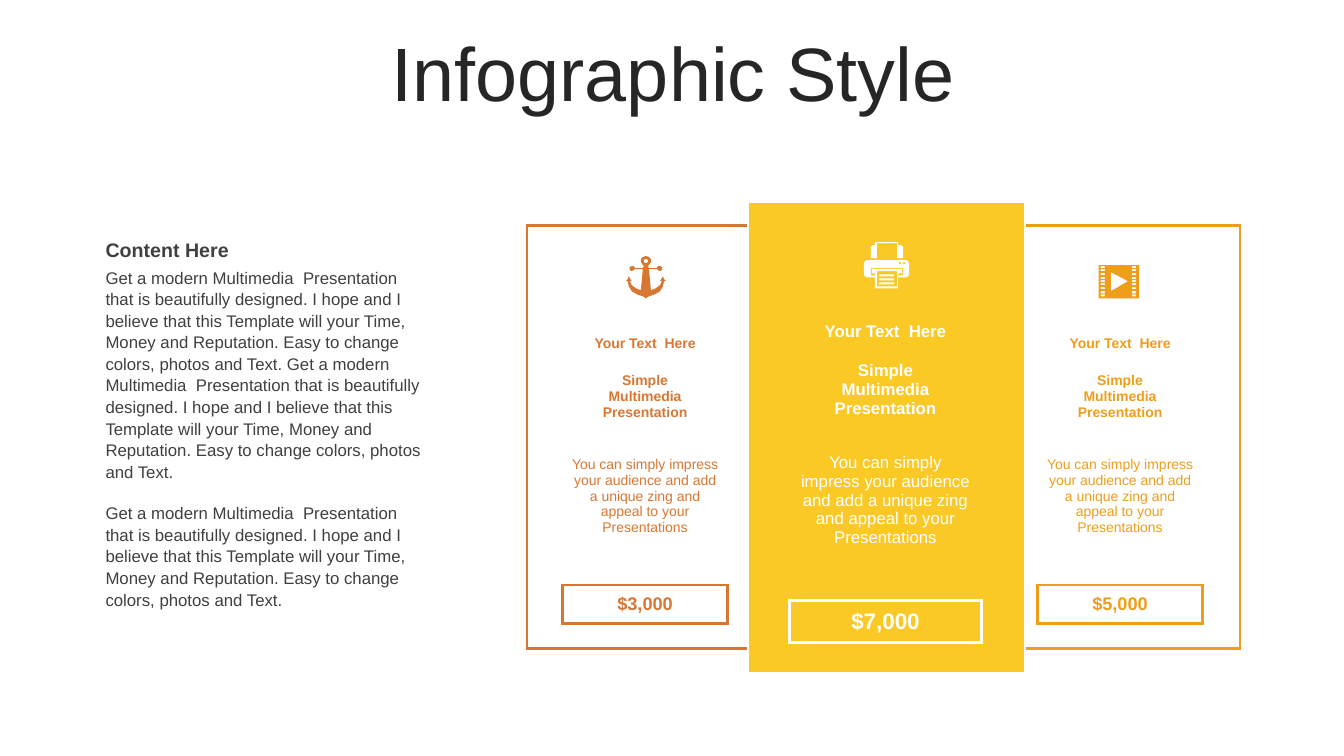
from itertools import accumulate, product
from math import cos, pi, sin
from lxml.etree import SubElement
from pptx import Presentation
from pptx.dml.color import RGBColor
from pptx.enum.text import MSO_ANCHOR, PP_ALIGN
from pptx.oxml.ns import qn
from pptx.util import Cm, Pt

# Content
TITLE = "Infographic Style"
HEADING = "Content Here"
PITCH = ("Get a modern Multimedia  Presentation that is beautifully designed. "
         "I hope and I believe that this Template will your Time, Money and Reputation. "
         "Easy to change colors, photos and Text.")
INTRO = [PITCH + " " + PITCH, PITCH]
CARD_NAME = "Your Text  Here"
CARD_OFFER = ["Simple", "Multimedia Presentation"]
CARD_DETAIL = ("You can simply impress your audience and add a unique zing "
               "and appeal to your Presentations")

THEME = {
    "font": "Arial", "title": "262626", "text": "404040", "white": "FFFFFF",
    "rust": "D87732", "amber": "EF9E1B", "yellow": "FAC926",
    "title_size": 54, "heading_size": 14, "intro_size": 12, "blank_size": 8,
}

# Card layouts in cm, type sizes and line widths in points
SIDE = {"cols": [0.89, 4.17, 0.94], "rows": [2.54, 0.84, 1.85, 3.18, 0.64, 0.97, 0.64],
        "top": 5.69, "size": 10, "price_size": 13, "frame": 2.25, "inset": (0.2, 0.1)}
CENTRE = {"cols": [1.04, 4.85, 1.09], "rows": [2.82, 0.91, 2.03, 3.53, 0.76, 1.07, 0.76],
          "top": 5.08, "size": 12, "price_size": 16, "frame": 1.5, "inset": (0.25, 0.13)}
PRICE_LINE = 2.25
PRICE_ROW, TEXT_COL = 5, 1


# Icon outlines on a grid of hundredths of an inch
def box(left, top, right, bottom):
    return [(left, top), (right, top), (right, bottom), (left, bottom)]


def film_icon():
    holes = [box(x, 1 + 3.5 * i, x + 4, 3 + 3.5 * i) for x in (2, 33) for i in range(9)]
    return [box(0, 0, 40, 33), [(12, 7), (12, 26), (29, 16)], *holes]


def anchor_icon():
    half = [(20, 0), (23, 1), (25, 3), (25, 6), (23, 9), (22, 10), (23, 12), (31, 12),
            (32, 10.5), (34, 10), (36, 11), (36.5, 12.5), (36, 14), (34, 15), (32, 14.5),
            (31, 13), (23, 13), (25, 34), (30, 32), (34, 29), (36, 25), (34, 25),
            (36, 22.5), (37, 20), (38, 23), (40, 25), (38, 25), (37, 30), (34, 35),
            (29, 38.5), (23, 40), (20, 42)]
    mirrored = [(40 - x, y) for x, y in reversed(half[1:-1])]
    ring = [(20 + 2 * cos(i * pi / 6), 5 + 2 * sin(i * pi / 6)) for i in range(12)]
    return [half + mirrored, ring]


def printer_icon():
    body = [(3, 18), (42, 18), (44, 19), (45, 21), (45, 32), (44, 34), (42, 35), (34, 35),
            (34, 46), (11, 46), (11, 35), (3, 35), (1, 34), (0, 32), (0, 21), (1, 19)]
    tray = [(7, 26), (7, 33), (11, 33), (11, 31), (8, 31), (8, 27),
            (38, 27), (38, 31), (34, 31), (34, 33), (39, 33), (39, 26)]
    feeder = [(11, 0), (34, 0), (34, 3), (37, 3), (39, 5), (39, 16), (33, 16), (33, 1),
              (13, 1), (13, 16), (7, 16), (7, 5), (9, 3), (11, 3)]
    print_lines = [box(15, y, 30, y + 1.5) for y in (32, 36, 40)]
    buttons = [box(x, 20.5, x + 2, 22.5) for x in (35, 39)]
    return [body, tray, feeder, box(13, 29, 33, 44), *print_lines, *buttons]


# Cards from back to front: layout, left, price, ink, fill, icon, icon position
CARDS = [
    (SIDE, 25.25, "$5,000", "amber", "white", film_icon(), (27.69, 6.68)),
    (SIDE, 13.28, "$3,000", "rust", "white", anchor_icon(), (15.77, 6.45)),
    (CENTRE, 18.85, "$7,000", "white", "yellow", printer_icon(), (21.77, 6.1)),
]


def color(name):
    return RGBColor.from_string(THEME[name])


def write(frame, lines, *, size, ink, bold=False, align=PP_ALIGN.LEFT, spacing=None, gap=0):
    frame.word_wrap = True
    for i, line in enumerate(lines):
        paragraph = frame.paragraphs[0] if i == 0 else frame.add_paragraph()
        paragraph.alignment = align
        paragraph.line_spacing = spacing
        if i and gap:
            paragraph.space_before = Pt(gap)
        run = paragraph.add_run()
        run.text = line
        run.font.name, run.font.size, run.font.bold = THEME["font"], Pt(size), bold
        run.font.color.rgb = color(ink)


def add_text(slide, place, lines, anchor=MSO_ANCHOR.TOP, **style):
    frame = slide.shapes.add_textbox(*map(Cm, place)).text_frame
    frame.vertical_anchor = anchor
    write(frame, lines, **style)


def edge_widths(row, col, layout):
    """Line widths of the left, right, top and bottom edges; 0 means none."""
    last_row, last_col = len(layout["rows"]) - 1, len(layout["cols"]) - 1
    outer = (col == 0, col == last_col, row == 0, row == last_row)
    in_row, in_col = row == PRICE_ROW, col == TEXT_COL
    price = (in_row and col in (TEXT_COL, TEXT_COL + 1),
             in_row and col in (TEXT_COL - 1, TEXT_COL),
             in_col and row in (PRICE_ROW, PRICE_ROW + 1),
             in_col and row in (PRICE_ROW - 1, PRICE_ROW))
    return [PRICE_LINE if p else layout["frame"] if o else 0 for o, p in zip(outer, price)]


def set_borders(cell, widths, ink):
    properties = cell._tc.get_or_add_tcPr()
    for i, (side, width) in enumerate(zip("LRTB", widths)):
        line = SubElement(properties, qn(f"a:ln{side}"), w=str(Pt(width)))
        properties.insert(i, line)
        if width:
            fill = SubElement(line, qn("a:solidFill"))
            SubElement(fill, qn("a:srgbClr"), val=THEME[ink])
        else:
            SubElement(line, qn("a:noFill"))


def add_card(slide, layout, left, price, ink, fill):
    cols, rows = layout["cols"], layout["rows"]
    table = slide.shapes.add_table(len(rows), len(cols), Cm(left), Cm(layout["top"]),
                                   Cm(sum(cols)), Cm(sum(rows))).table
    table.first_row = table.horz_banding = False
    for column, width in zip(table.columns, cols):
        column.width = Cm(width)
    for row, height in zip(table.rows, rows):
        row.height = Cm(height)
    size = layout["size"]
    texts = {1: ([CARD_NAME], size, True), 2: (CARD_OFFER, size, True),
             3: ([CARD_DETAIL], size, False),
             PRICE_ROW: ([price], layout["price_size"], True)}
    side_inset, top_inset = map(Cm, layout["inset"])
    for row, col in product(range(len(rows)), range(len(cols))):
        cell = table.cell(row, col)
        cell.fill.solid()
        cell.fill.fore_color.rgb = color(fill)
        cell.vertical_anchor = MSO_ANCHOR.MIDDLE
        cell.margin_left = cell.margin_right = side_inset
        cell.margin_top = cell.margin_bottom = top_inset
        set_borders(cell, edge_widths(row, col, layout), ink)
        if col == TEXT_COL and row in texts:
            lines, points, bold = texts[row]
            write(cell.text_frame, lines, size=points, ink=ink, bold=bold,
                  align=PP_ALIGN.CENTER)
        else:
            cell.margin_top = cell.margin_bottom = 0
            SubElement(cell.text_frame.paragraphs[0]._p, qn("a:endParaRPr"),
                       sz=str(THEME["blank_size"] * 100))


def add_icon(slide, outlines, place, ink):
    builder = slide.shapes.build_freeform(*outlines[0][0], scale=Cm(2.54) / 100)
    for i, outline in enumerate(outlines):
        if i:
            builder.move_to(*outline[0])
        builder.add_line_segments(outline[1:], close=True)
    icon = builder.convert_to_shape(*map(Cm, place))
    icon.shadow.inherit = False
    icon.fill.solid()
    icon.fill.fore_color.rgb = color(ink)
    icon.line.fill.background()


def main():
    deck = Presentation()
    deck.slide_width, deck.slide_height = Cm(33.87), Cm(19.05)
    slide = deck.slides.add_slide(deck.slide_layouts[6])

    # Title
    add_text(slide, (0.89, 0.94, 32.16, 2.01), [TITLE], MSO_ANCHOR.MIDDLE,
             size=THEME["title_size"], ink="title", align=PP_ALIGN.CENTER, spacing=0.9)

    # Price cards, then their icons on top
    for layout, left, price, ink, fill, _, _ in CARDS:
        add_card(slide, layout, left, price, ink, fill)
    for _, _, _, ink, _, outlines, place in CARDS:
        add_icon(slide, outlines, place, ink)

    # Introduction
    add_text(slide, (2.41, 6.58, 8.66, 8.46), INTRO, size=THEME["intro_size"],
             ink="text", spacing=1.07, gap=14.4)
    add_text(slide, (2.41, 5.82, 8.66, 0.86), [HEADING], size=THEME["heading_size"],
             ink="text", bold=True, spacing=1.07)

    deck.save("out.pptx")


if __name__ == "__main__":
    main()
